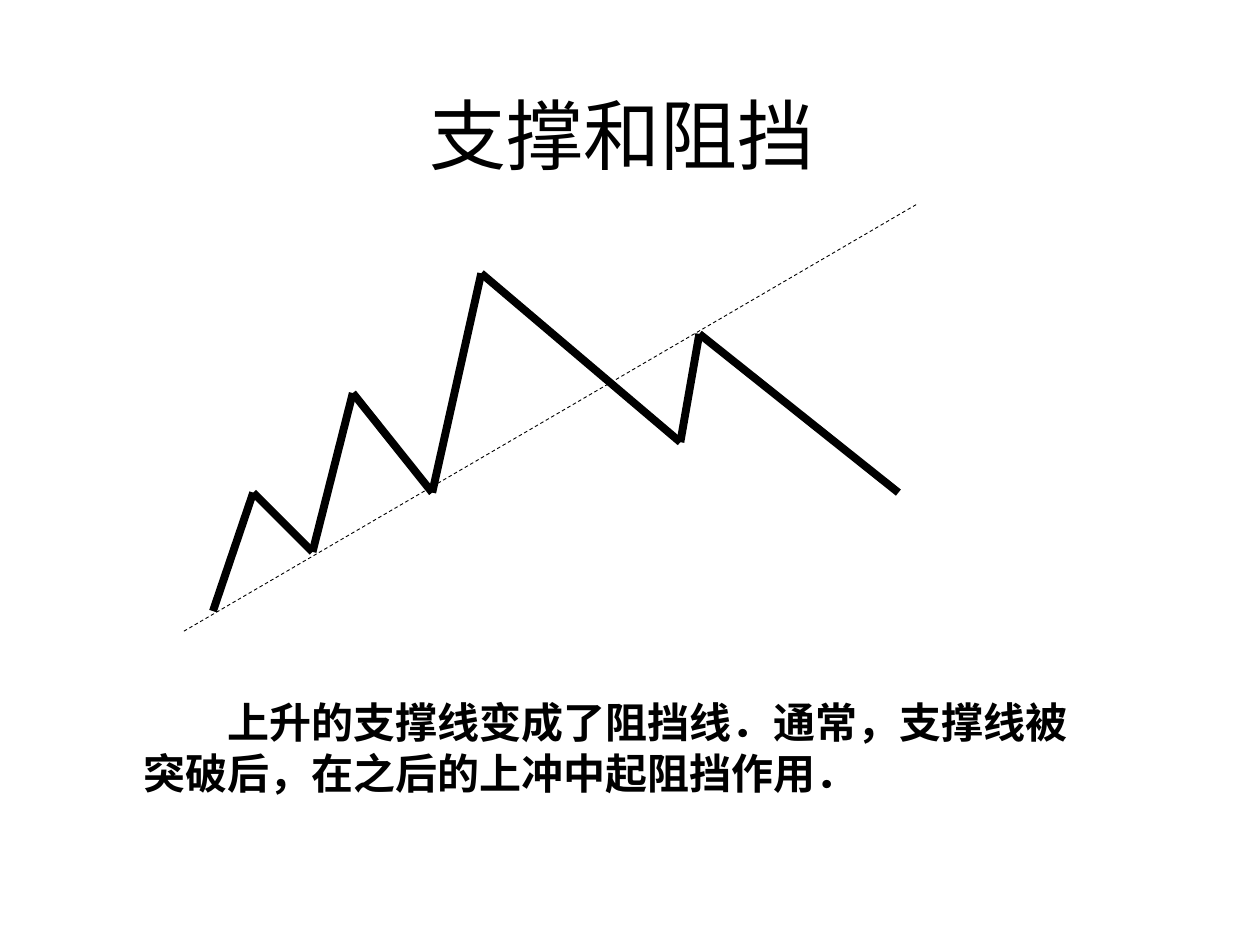
from itertools import pairwise

from lxml.etree import SubElement
from pptx import Presentation
from pptx.dml.color import RGBColor
from pptx.enum.dml import MSO_LINE
from pptx.enum.shapes import MSO_CONNECTOR
from pptx.enum.text import MSO_ANCHOR, PP_ALIGN
from pptx.oxml.ns import qn
from pptx.util import Pt

COLORS = {"ink": "000000", "background": "FFFFFF"}
TITLE = "支撑和阻挡"
EXPLANATION = ["上升的支撑线变成了阻挡线．通常，支撑线被", "突破后，在之后的上冲中起阻挡作用．"]
# Turning points of the price, in points from the chart's top left corner
PRICE_POINTS = [
    (16.6, 232.6), (39.6, 164.9), (73.5, 198.8), (96.5, 108), (141.9, 164.9),
    (169.9, 39.6), (283.7, 136.1), (294.5, 74.2), (408.3, 164.9),
]


def add_text_box(slide, box, wrap):
    frame = slide.shapes.add_textbox(*map(Pt, box)).text_frame
    frame.word_wrap = wrap
    return frame


def add_run(paragraph, text, size, typeface, bold=False):
    run = paragraph.add_run()
    run.text = text
    run.font.size = Pt(size)
    run.font.bold = bold
    run.font.color.rgb = RGBColor.from_string(COLORS["ink"])
    run.font.name = typeface
    SubElement(run.font._element, qn("a:ea")).set("typeface", typeface)


def add_line(slide, start, end, width, dash=None):
    line = slide.shapes.add_connector(MSO_CONNECTOR.STRAIGHT, *map(Pt, (*start, *end)))
    line.line.color.rgb = RGBColor.from_string(COLORS["ink"])
    line.line.width = Pt(width)
    if dash:
        line.line.dash_style = dash
    SubElement(line._element.spPr, qn("a:effectLst"))


def add_title(slide, box):
    frame = add_text_box(slide, box, True)
    frame.vertical_anchor = MSO_ANCHOR.MIDDLE
    paragraph = frame.paragraphs[0]
    paragraph.alignment = PP_ALIGN.CENTER
    add_run(paragraph, TITLE, 44, "Noto Sans CJK SC")


def add_price_chart(slide, box):
    """Draw the trend line across the box's diagonal, then the price over it."""
    left, top, width, height = box
    add_line(slide, (left, top + height), (left + width, top), 0.5, MSO_LINE.DASH)
    points = [(left + x, top + y) for x, y in PRICE_POINTS]
    for start, end in pairwise(points):
        add_line(slide, start, end, 4.5)


def add_explanation(slide, box):
    size = 24
    frame = add_text_box(slide, box, False)
    for index, text in enumerate(EXPLANATION):
        paragraph = frame.add_paragraph() if index else frame.paragraphs[0]
        if index == 0:
            # First line starts two characters in
            paragraph._p.get_or_add_pPr().set("indent", str(Pt(2 * size)))
        add_run(paragraph, text, size, "Cabin", bold=True)


def main():
    presentation = Presentation()
    presentation.slide_width, presentation.slide_height = Pt(720), Pt(540)
    slide = presentation.slides.add_slide(presentation.slide_layouts[6])
    slide.background.fill.solid()
    slide.background.fill.fore_color.rgb = RGBColor.from_string(COLORS["background"])
    add_title(slide, (25.2, 20.2, 660.2, 113))
    add_price_chart(slide, (105.1, 116.6, 419, 244.1))
    add_explanation(slide, (74.9, 394.6, 542.2, 64.8))
    presentation.save("out.pptx")


if __name__ == "__main__":
    main()
